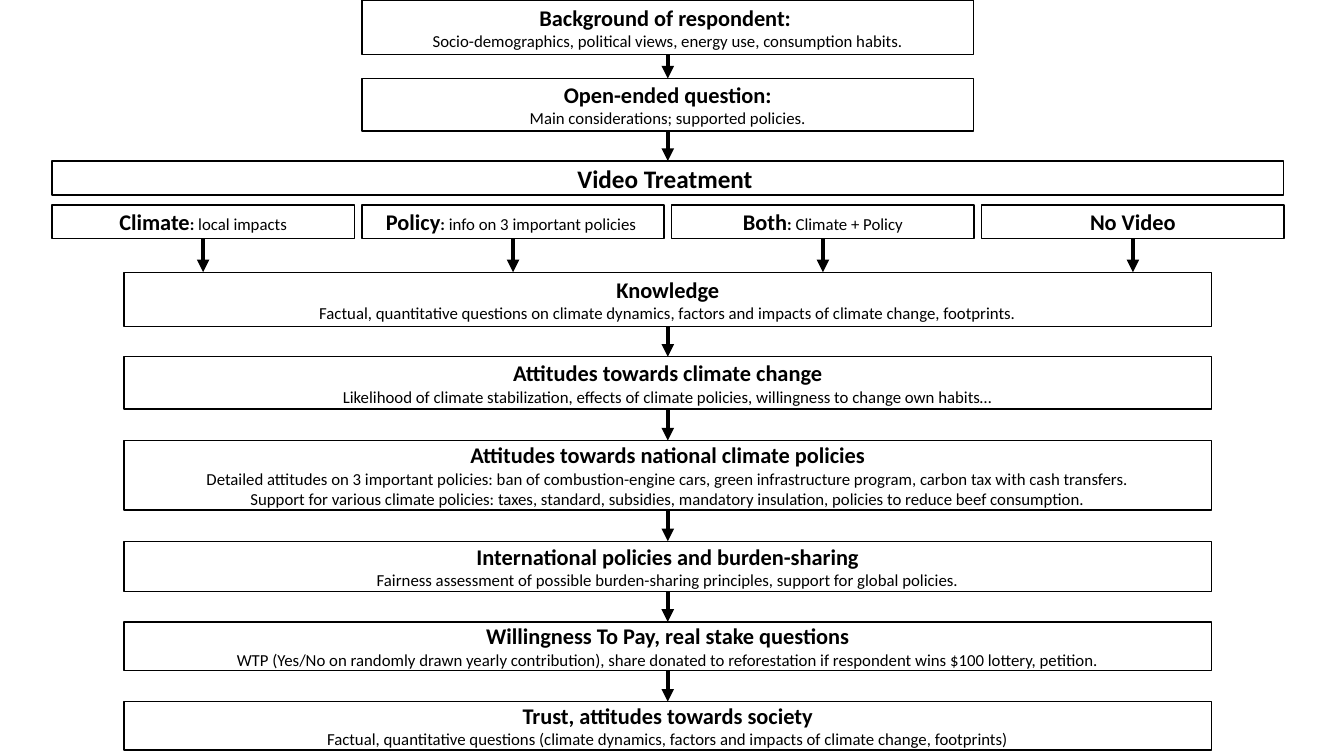
"""Build the survey flow slide, from respondent background to trust questions."""
import pptx
import pptx.dml.color
import pptx.enum.shapes
import pptx.enum.text
import pptx.oxml
import pptx.oxml.ns
import pptx.util

Cm = pptx.util.Cm
BLACK = pptx.dml.color.RGBColor(0, 0, 0)
AXIS = 16.83
TOP_SIDE, BOTTOM_SIDE = 0, 2


class FlowChart:
    """Style and current slide of a flow chart."""

    font = "Calibri"
    heading, detail = 16, 12

    def __init__(self, slide):
        self.slide = slide

    def box(self, left, top, width, height, lines):
        """Draw an outlined box; each line is a list of (text, size, bold)."""
        shape = self.slide.shapes.add_shape(
            pptx.enum.shapes.MSO_SHAPE.RECTANGLE,
            Cm(left), Cm(top), Cm(width), Cm(height))
        shape.shadow.inherit = False
        shape.fill.background()
        shape.line.color.rgb = BLACK
        shape.line.width = pptx.util.Pt(1)
        frame = shape.text_frame
        frame.word_wrap = True
        frame.vertical_anchor = pptx.enum.text.MSO_ANCHOR.MIDDLE
        for number, line in enumerate(lines):
            paragraph = frame.add_paragraph() if number else frame.paragraphs[0]
            paragraph.alignment = pptx.enum.text.PP_ALIGN.CENTER
            for text, size, bold in line:
                run = paragraph.add_run()
                run.text = text
                run.font.name = self.font
                run.font.size = pptx.util.Pt(size)
                run.font.bold = bold
                run.font.color.rgb = BLACK
        return shape

    def stage(self, top, width, height, title, *details):
        """Draw a box centred on the axis, with a heading and detail lines."""
        lines = [[(title, self.heading, True)]]
        lines += [[(text, self.detail, False)] for text in details]
        return self.box(AXIS - width / 2, top, width, height, lines)

    def arrow(self, source, target, join_target=True):
        """Draw an arrow straight down from one box to the top of another."""
        x = source.left + source.width // 2
        line = self.slide.shapes.add_connector(
            pptx.enum.shapes.MSO_CONNECTOR.STRAIGHT,
            x, source.top + source.height, x, target.top)
        line.begin_connect(source, BOTTOM_SIDE)
        if join_target:
            line.end_connect(target, TOP_SIDE)
        line.line.color.rgb = BLACK
        line.line.width = pptx.util.Pt(3)
        outline = line.line._get_or_add_ln()
        head = pptx.oxml.parse_xml(
            f'<a:tailEnd {pptx.oxml.ns.nsdecls("a")} type="triangle"/>')
        outline.append(head)
        effects = pptx.oxml.parse_xml(f'<a:effectLst {pptx.oxml.ns.nsdecls("a")}/>')
        outline.addnext(effects)


INTRO = [
    (0, 1.37, "Background of respondent: ",
     "Socio-demographics, political views, energy use, consumption habits."),
    (1.98, 1.32, "Open-ended question:", "Main considerations; supported policies."),
]
GROUPS = [
    ("Climate", "local impacts"),
    ("Policy", "info on 3 important policies "),
    ("Both", "Climate + Policy"),
    ("No Video", ""),
]
TOPICS = [
    (6.86, 1.37, "Knowledge",
     "Factual, quantitative questions on climate dynamics, factors and impacts "
     "of climate change, footprints."),
    (8.99, 1.32, "Attitudes towards climate change",
     "Likelihood of climate stabilization, effects of climate policies, "
     "willingness to change own habits…"),
    (11.1, 1.75, "Attitudes towards national climate policies",
     "Detailed attitudes on 3 important policies: ban of combustion-engine cars, "
     "green infrastructure program, carbon tax with cash transfers.",
     "Support for various climate policies: taxes, standard, subsidies, "
     "mandatory insulation, policies to reduce beef consumption."),
    (13.64, 1.27, "International policies and burden-sharing",
     "Fairness assessment of possible burden-sharing principles, "
     "support for global policies."),
    (15.67, 1.22, "Willingness To Pay, real stake questions",
     "WTP (Yes/No on randomly drawn yearly contribution), share donated to "
     "reforestation if respondent wins $100 lottery, petition."),
    (17.68, 1.22, "Trust, attitudes towards society",
     "Factual, quantitative questions (climate dynamics, factors and impacts "
     "of climate change, footprints)"),
]
INTRO_WIDTH, VIDEO_WIDTH, TOPIC_WIDTH = 15.42, 31.04, 27.41
GROUP_WIDTH, GROUP_PITCH = 7.62, 7.81


def main():
    """Build and save the slide."""
    deck = pptx.Presentation()
    deck.slide_width, deck.slide_height = Cm(33.87), Cm(19.05)
    chart = FlowChart(deck.slides.add_slide(deck.slide_layouts[6]))

    intro = [chart.stage(top, INTRO_WIDTH, height, *texts)
             for top, height, *texts in INTRO]
    video_left = AXIS - VIDEO_WIDTH / 2
    video = chart.box(video_left, 4.06, VIDEO_WIDTH, 0.86,
                      [[("Video Treatment ", 18, True)]])
    groups = []
    for column, (name, content) in enumerate(GROUPS):
        line = [(name, chart.heading, True)]
        if content:
            line += [(": ", chart.detail, True), (content, chart.detail, False)]
        groups.append(chart.box(video_left + column * GROUP_PITCH, 5.17,
                                GROUP_WIDTH, 0.84, [line]))
    topics = [chart.stage(top, TOPIC_WIDTH, height, *texts)
              for top, height, *texts in TOPICS]

    for chain in (intro + [video], topics):
        for source, target in zip(chain, chain[1:]):
            chart.arrow(source, target)
    for group in groups:
        chart.arrow(group, topics[0], join_target=False)

    deck.save("out.pptx")


if __name__ == "__main__":
    main()
